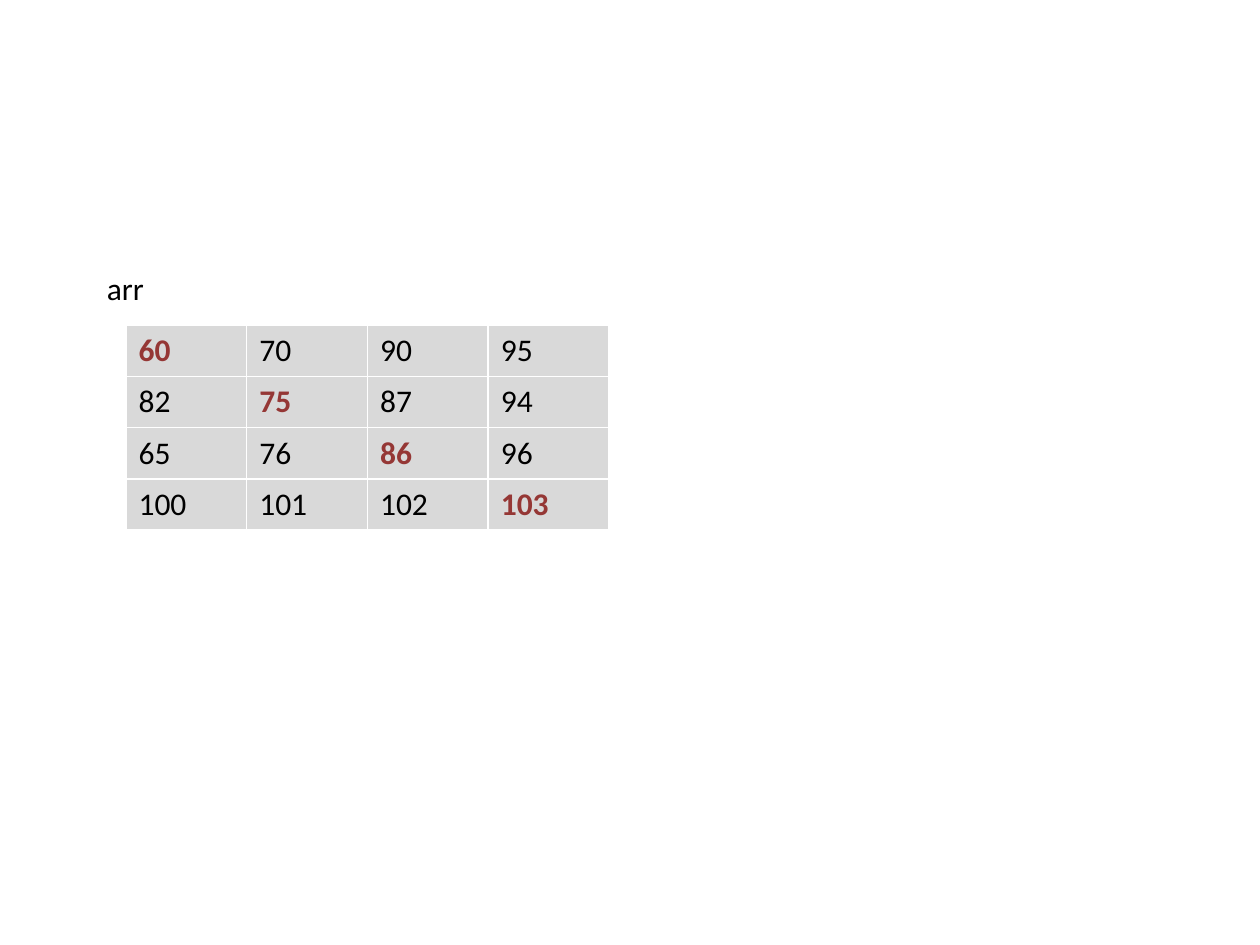
from pptx import Presentation
from pptx.dml.color import RGBColor
from pptx.util import Pt

BLACK = RGBColor(0x00, 0x00, 0x00)
RED = RGBColor(0x95, 0x37, 0x35)
GRAY = RGBColor(0xD9, 0xD9, 0xD9)

ARR = [
    [60, 70, 90, 95],
    [82, 75, 87, 94],
    [65, 76, 86, 96],
    [100, 101, 102, 103],
]
COL_W, ROW_H = 69, 29.2


def set_text(tf, text, color=BLACK, bold=False):
    tf.text = text
    font = tf.paragraphs[0].runs[0].font
    font.name, font.size, font.bold = "Calibri", Pt(18), bold
    font.color.rgb = color


prs = Presentation()
prs.slide_width, prs.slide_height = Pt(720), Pt(540)
s = prs.slides.add_slide(prs.slide_layouts[6])

# Array name
label = s.shapes.add_textbox(Pt(54), Pt(150), Pt(48), Pt(29))
label.text_frame.word_wrap = True
set_text(label.text_frame, "arr")

# Matrix with its main diagonal highlighted; the table style draws white borders
n = len(ARR)
table = s.shapes.add_table(n, n, Pt(72), Pt(186), Pt(COL_W * n), Pt(ROW_H * n)).table
for col in table.columns:
    col.width = Pt(COL_W)
for i, values in enumerate(ARR):
    table.rows[i].height = Pt(ROW_H)
    for j, value in enumerate(values):
        cell = table.cell(i, j)
        cell.fill.solid()
        cell.fill.fore_color.rgb = GRAY
        set_text(cell.text_frame, str(value), RED if i == j else BLACK, i == j)

prs.save("out.pptx")
